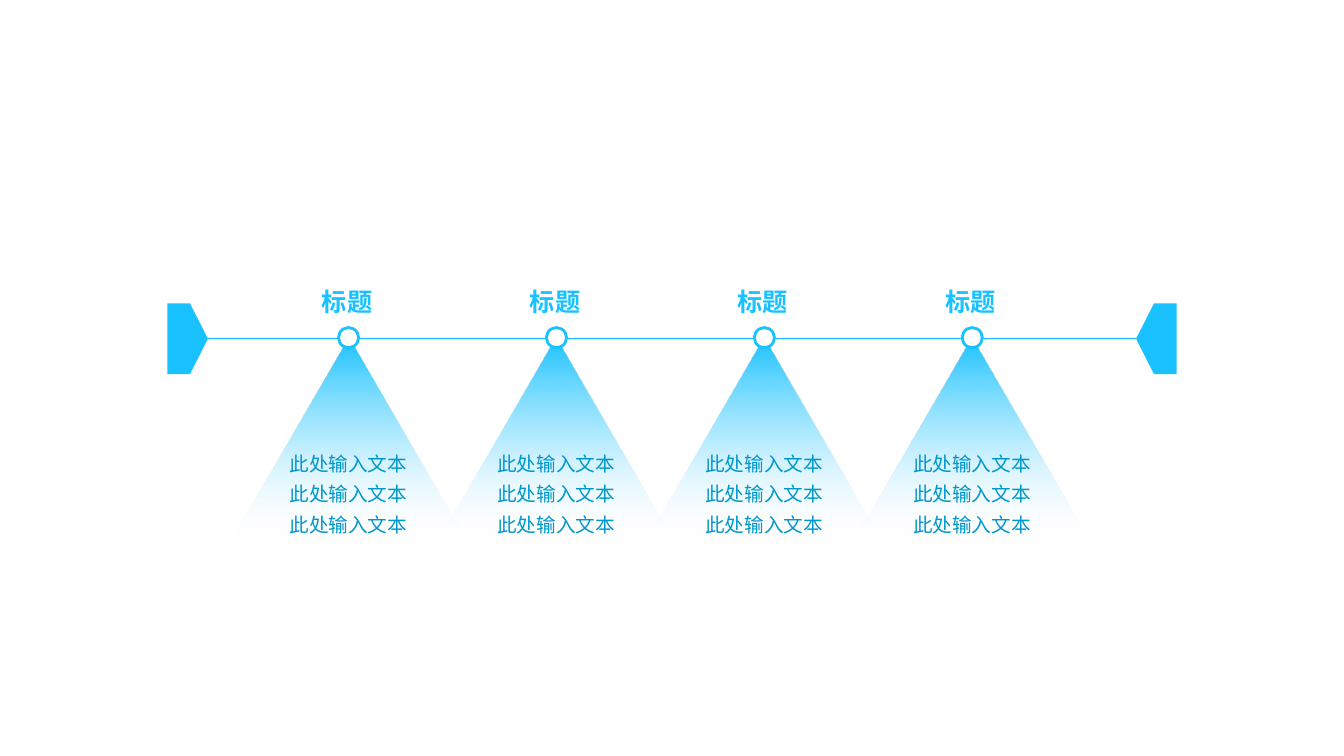
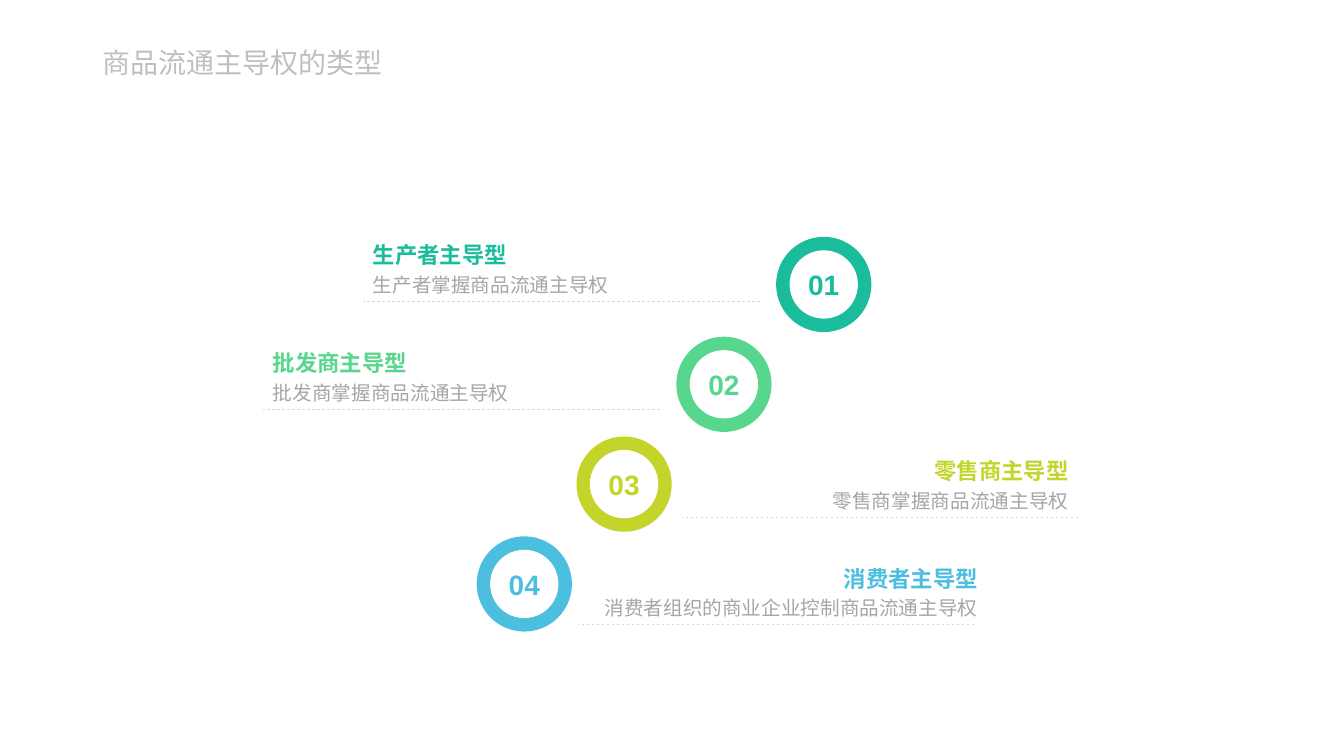
from lxml import etree
from pptx import Presentation
from pptx.dml.color import RGBColor
from pptx.enum.dml import MSO_LINE
from pptx.enum.shapes import MSO_CONNECTOR, MSO_SHAPE as SHAPE
from pptx.enum.text import MSO_ANCHOR as ANCHOR, PP_ALIGN as ALIGN
from pptx.oxml.ns import qn
from pptx.util import Pt

FONT = "Arial"
WHITE = "FFFFFF"
SKY = "19C2FF"
SKY_MID = "6DD9FF"
SKY_TEXT = "0097CC"
TITLE_GREY = "BFBFBF"
BODY_GREY = "A6A6A6"
RULE_GREY = "D9D9D9"
BEAM_STOPS = [(0, SKY, 100), (50, SKY_MID, 50), (100, WHITE, 0)]

STATION_COUNT = 4
STATION_START, STATION_PITCH = 249, 148.5
RING_SIZE, RING_INSET, RING_STEP = 68, 9.6, 71.3
RULE_WIDTH, RULE_STEP = 283.4, 77
LABEL_HEIGHT = 54.7

TYPES = [
    ("01", "生产者主导型", "生产者掌握商品流通主导权", "1ABC9C",
     259.2, 259.2, 271.4, ALIGN.JUSTIFY),
    ("02", "批发商主导型", "批发商掌握商品流通主导权", "57D68D",
     187.9, 187.9, 271.4, ALIGN.JUSTIFY),
    ("03", "零售商主导型", "零售商掌握商品流通主导权", "C3D52B",
     486.9, 499, 271.4, ALIGN.RIGHT),
    ("04", "消费者主导型", "消费者组织的商业企业控制商品流通主导权", "4CBEDF",
     412.6, 421.2, 284.4, ALIGN.RIGHT),
]


def colour(value):
    """Turn a hex string into a colour."""
    return RGBColor.from_string(value)


def add_shape(page, kind, left, top, width, height, fill=None, line=None, weight=1):
    """Add a flat preset shape."""
    shape = page.shapes.add_shape(kind, Pt(left), Pt(top), Pt(width), Pt(height))
    shape.shadow.inherit = False
    if fill:
        shape.fill.solid()
        shape.fill.fore_color.rgb = colour(fill)
    if line:
        shape.line.color.rgb = colour(line)
        shape.line.width = Pt(weight)
    else:
        shape.line.fill.background()
    return shape


def add_line(page, start, end, y, tint):
    """Add a thin horizontal line without a shadow."""
    line = page.shapes.add_connector(
        MSO_CONNECTOR.STRAIGHT, Pt(start), Pt(y), Pt(end), Pt(y))
    line.line.color.rgb = colour(tint)
    line.line.width = Pt(0.5)
    etree.SubElement(line._element.spPr, qn("a:effectLst"))
    return line


def write(shape, lines, align, anchor, spacing=None, inset=None):
    """Write lines of (text, size, colour, bold) into a shape."""
    frame = shape.text_frame
    frame.word_wrap = True
    frame.vertical_anchor = anchor
    if inset is not None:
        frame.margin_left = frame.margin_right = Pt(inset)
        frame.margin_top = frame.margin_bottom = Pt(inset)
    for index, (text, size, tint, bold) in enumerate(lines):
        para = frame.add_paragraph() if index else frame.paragraphs[0]
        para.alignment = align
        para.line_spacing = spacing
        span = para.add_run()
        span.text = text
        span.font.name = FONT
        span.font.size = Pt(size)
        span.font.bold = bold
        span.font.color.rgb = colour(tint)


def add_text(page, left, top, width, height, lines, align, anchor, spacing=None):
    """Add a text box with its lines."""
    box = page.shapes.add_textbox(Pt(left), Pt(top), Pt(width), Pt(height))
    write(box, lines, align, anchor, spacing)


def fade(shape, stops):
    """Fill a shape downwards with (position, colour, opacity) stops."""
    shape.fill.gradient()
    shape.fill.gradient_angle = 270
    stop_list = shape._element.spPr.find(qn("a:gradFill")).find(qn("a:gsLst"))
    for stop in list(stop_list):
        stop_list.remove(stop)
    for position, tint, opacity in stops:
        stop = etree.SubElement(stop_list, qn("a:gs"), pos=str(position * 1000))
        value = etree.SubElement(stop, qn("a:srgbClr"), val=tint)
        if opacity < 100:
            etree.SubElement(value, qn("a:alpha"), val=str(opacity * 1000))


def add_axis(page, left, y, width):
    """Draw the timeline axis between two facing pentagons."""
    cap_width, cap_height = 29, 50.4
    caps = []
    for x in (left, left + width - cap_width):
        cap = add_shape(page, SHAPE.PENTAGON, x, y - cap_height / 2,
                        cap_width, cap_height, SKY)
        cap.adjustments[0] = 0.44
        caps.append(cap)
    caps[1]._element.spPr.find(qn("a:xfrm")).set("flipH", "1")
    line = add_line(page, left + cap_width, left + width - cap_width, y, SKY)
    line.begin_connect(caps[0], 3)


def add_station(page, center, y):
    """Draw one timeline stop: beam with text, marker and heading."""
    beam_width, marker = 169.2, 14.4
    beam = add_shape(page, SHAPE.ISOSCELES_TRIANGLE, center - beam_width / 2,
                     y - 0.8, beam_width, 145.4)
    fade(beam, BEAM_STOPS)
    write(beam, [("此处输入文本", 14, SKY_TEXT, False)] * 3,
          ALIGN.JUSTIFY, ANCHOR.MIDDLE, 1.3, 0)
    add_shape(page, SHAPE.OVAL, center - marker / 2, y - 0.8 - marker / 2,
              marker, marker, WHITE, SKY, 2)
    add_text(page, center - 41, y - 41.1, 80, 29,
             [("标题", 18, SKY, True)], ALIGN.CENTER, ANCHOR.TOP)


def add_ring(page, left, top, number, tint):
    """Draw a numbered ring."""
    inner = RING_SIZE - 2 * RING_INSET
    add_shape(page, SHAPE.OVAL, left, top, RING_SIZE, RING_SIZE, tint)
    core = add_shape(page, SHAPE.OVAL, left + RING_INSET, top + RING_INSET,
                     inner, inner, WHITE)
    write(core, [(number, 20, tint, True)], ALIGN.CENTER, ANCHOR.MIDDLE, inset=0)


def add_label(page, rule_left, text_left, text_width, y, lines, align):
    """Draw a two-line label standing on a dashed rule."""
    rule = add_line(page, rule_left + RULE_WIDTH, rule_left, y, RULE_GREY)
    rule.line.dash_style = MSO_LINE.DASH
    add_text(page, text_left, y - LABEL_HEIGHT, text_width, LABEL_HEIGHT,
             lines, align, ANCHOR.BOTTOM, 1.2)


def build_timeline(page):
    """Build the timeline slide."""
    axis_y = 242
    add_axis(page, 119.5, axis_y, 721)
    for index in range(STATION_COUNT):
        add_station(page, STATION_START + index * STATION_PITCH, axis_y)


def build_types(page):
    """Build the slide of ring steps with their labels."""
    add_text(page, 66.2, 28.8, 486, 33.8,
             [("商品流通主导权的类型", 20, TITLE_GREY, False)],
             ALIGN.LEFT, ANCHOR.MIDDLE, 0.9)
    for index, entry in enumerate(TYPES):
        number, heading, detail, tint, rule_left, text_left, width, align = entry
        add_ring(page, 554.4 - index * RING_STEP, 169.2 + index * RING_STEP,
                 number, tint)
        add_label(page, rule_left, text_left, width, 215.3 + index * RULE_STEP,
                  [(heading, 16, tint, True), (detail, 14, BODY_GREY, False)], align)


def main():
    """Build and save the deck."""
    deck = Presentation()
    deck.slide_width, deck.slide_height = Pt(960), Pt(540)
    for build in (build_timeline, build_types):
        build(deck.slides.add_slide(deck.slide_layouts[6]))
    deck.save("out.pptx")


if __name__ == "__main__":
    main()
